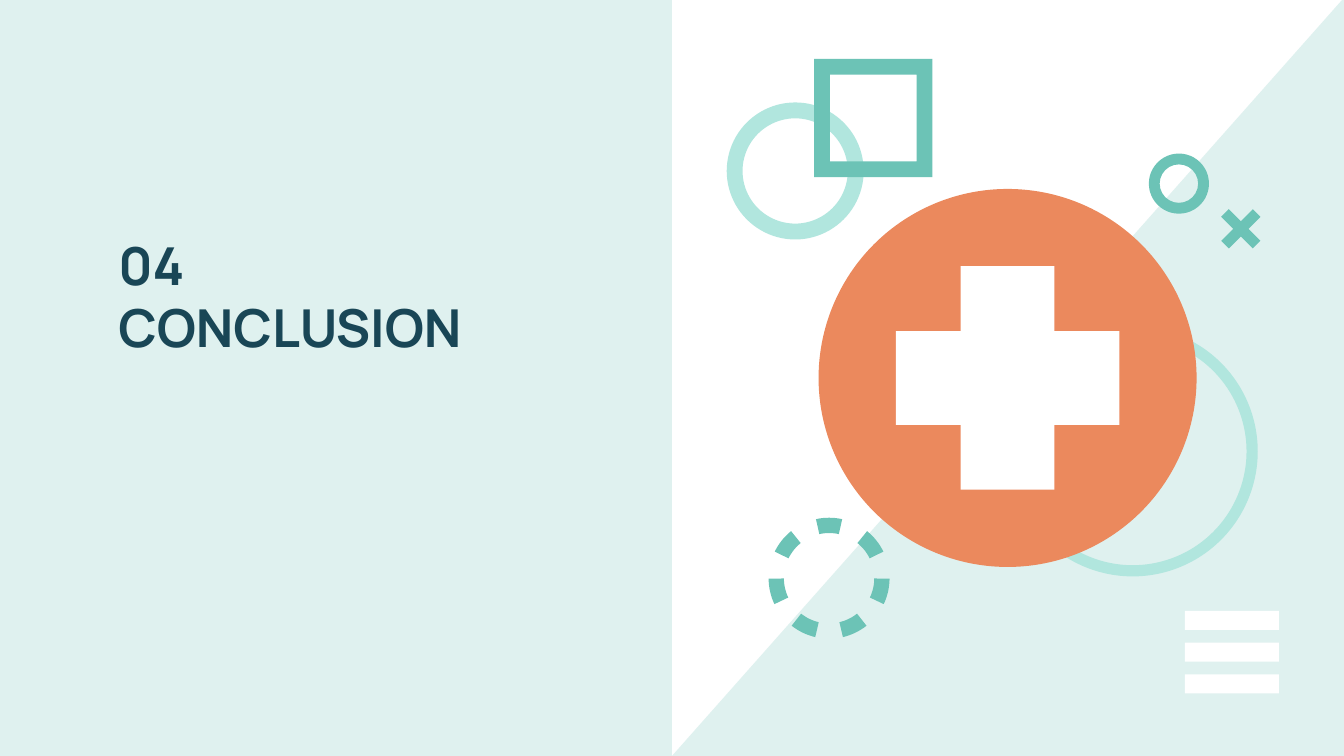
import math
from dataclasses import dataclass

import pptx
import pptx.dml.color
import pptx.enum.shapes
import pptx.enum.text
import pptx.util

Pt = pptx.util.Pt
SHAPE = pptx.enum.shapes.MSO_SHAPE


@dataclass(frozen=True)
class Theme:
    pale: str = "DFF1EF"
    mint: str = "B1E6DE"
    teal: str = "6CC3B6"
    orange: str = "EB895D"
    white: str = "FFFFFF"
    ink: str = "194656"
    font: str = "Manrope"
    title_size: int = 28


THEME = Theme()


def rgb(color):
    return pptx.dml.color.RGBColor.from_string(color)


def paint(sp, color):
    sp.shadow.inherit = False
    sp.fill.solid()
    sp.fill.fore_color.rgb = rgb(color)
    sp.line.fill.background()


def add_block(s, kind, cx, cy, w, h, color, rotation=0, border=None):
    """Add a preset shape around its centre; border is the width of a hollow one."""
    sp = s.shapes.add_shape(kind, Pt(cx - w / 2), Pt(cy - h / 2), Pt(w), Pt(h))
    sp.rotation = rotation
    if border:
        sp.adjustments[0] = border / min(w, h)
    paint(sp, color)


def add_outline(s, contours, color):
    """Add one freeform made of closed contours given in points."""
    contours = [[(Pt(x), Pt(y)) for x, y in contour] for contour in contours]
    builder = s.shapes.build_freeform(*contours[0][0])
    for i, contour in enumerate(contours):
        if i:
            builder.move_to(*contour[0])
        builder.add_line_segments(contour[1:], close=True)
    paint(builder.convert_to_shape(), color)


def add_dashed_ring(s, cx, cy, outer, inner, dashes, sweep, color):
    """Add a ring of evenly spaced dashes, the first centred at the top."""
    steps = 8

    def arc(radius, middle):
        angles = [math.radians(middle + sweep * (i / steps - 0.5)) for i in range(steps + 1)]
        return [(cx + radius * math.sin(a), cy - radius * math.cos(a)) for a in angles]

    middles = [360 * i / dashes for i in range(dashes)]
    add_outline(s, [arc(outer, m) + arc(inner, m)[::-1] for m in middles], color)


def set_title(s, lines):
    sp = s.shapes.title
    sp.left, sp.top, sp.width, sp.height = Pt(56.2), Pt(118.1), Pt(247.7), Pt(80.6)
    tf = sp.text_frame
    tf.word_wrap = True
    tf.auto_size = pptx.enum.text.MSO_AUTO_SIZE.NONE
    tf.vertical_anchor = pptx.enum.text.MSO_ANCHOR.MIDDLE
    tf.margin_left = tf.margin_right = tf.margin_top = tf.margin_bottom = Pt(7.2)
    for i, line in enumerate(lines):
        p = tf.add_paragraph() if i else tf.paragraphs[0]
        p.alignment = pptx.enum.text.PP_ALIGN.LEFT
        r = p.add_run()
        r.text = line
        r.font.name = THEME.font
        r.font.size = Pt(THEME.title_size)
        r.font.bold = True
        r.font.color.rgb = rgb(THEME.ink)


def add_background(s):
    s.background.fill.solid()
    s.background.fill.fore_color.rgb = rgb(THEME.white)
    add_outline(s, [[(719, 0), (360, 405), (720, 405), (720, 0)]], THEME.pale)
    add_block(s, SHAPE.RECTANGLE, 180, 202.5, 360, 405, THEME.pale)


def add_medical_badge(s):
    cx, cy = 539.8, 202.5
    add_block(s, SHAPE.DONUT, 606.8, 241.8, 134, 134, THEME.mint, border=6)
    add_block(s, SHAPE.OVAL, cx, cy, 202.5, 202.5, THEME.orange)
    for rotation in (0, 90):
        add_block(s, SHAPE.RECTANGLE, cx, cy, 50.3, 119.8, THEME.white, rotation)


def add_decorations(s):
    add_dashed_ring(s, 444.2, 309.8, 32.4, 24.2, 7, 25, THEME.teal)
    add_block(s, SHAPE.DONUT, 631.6, 98.4, 32.2, 32.2, THEME.teal, border=5.8)
    add_block(s, SHAPE.DONUT, 426, 91.6, 73.4, 73.4, THEME.mint, border=8.5)
    for i in range(3):
        add_block(s, SHAPE.RECTANGLE, 660, 332.4 + 17 * i, 50.4, 10.2, THEME.white)
    for rotation in (45, 135):
        add_block(s, SHAPE.RECTANGLE, 664.7, 122.6, 24, 5.8, THEME.teal, rotation)
    add_block(s, SHAPE.FRAME, 467.8, 63.2, 63.4, 63.4, THEME.teal, border=8.5)


def main():
    prs = pptx.Presentation()
    prs.slide_width, prs.slide_height = Pt(720), Pt(405)
    s = prs.slides.add_slide(prs.slide_layouts.get_by_name("Title Only"))
    add_background(s)
    title = s.shapes.title.element
    s.shapes.element.append(title)
    set_title(s, ["04", "CONCLUSION"])
    add_medical_badge(s)
    add_decorations(s)
    prs.save("out.pptx")


if __name__ == "__main__":
    main()
